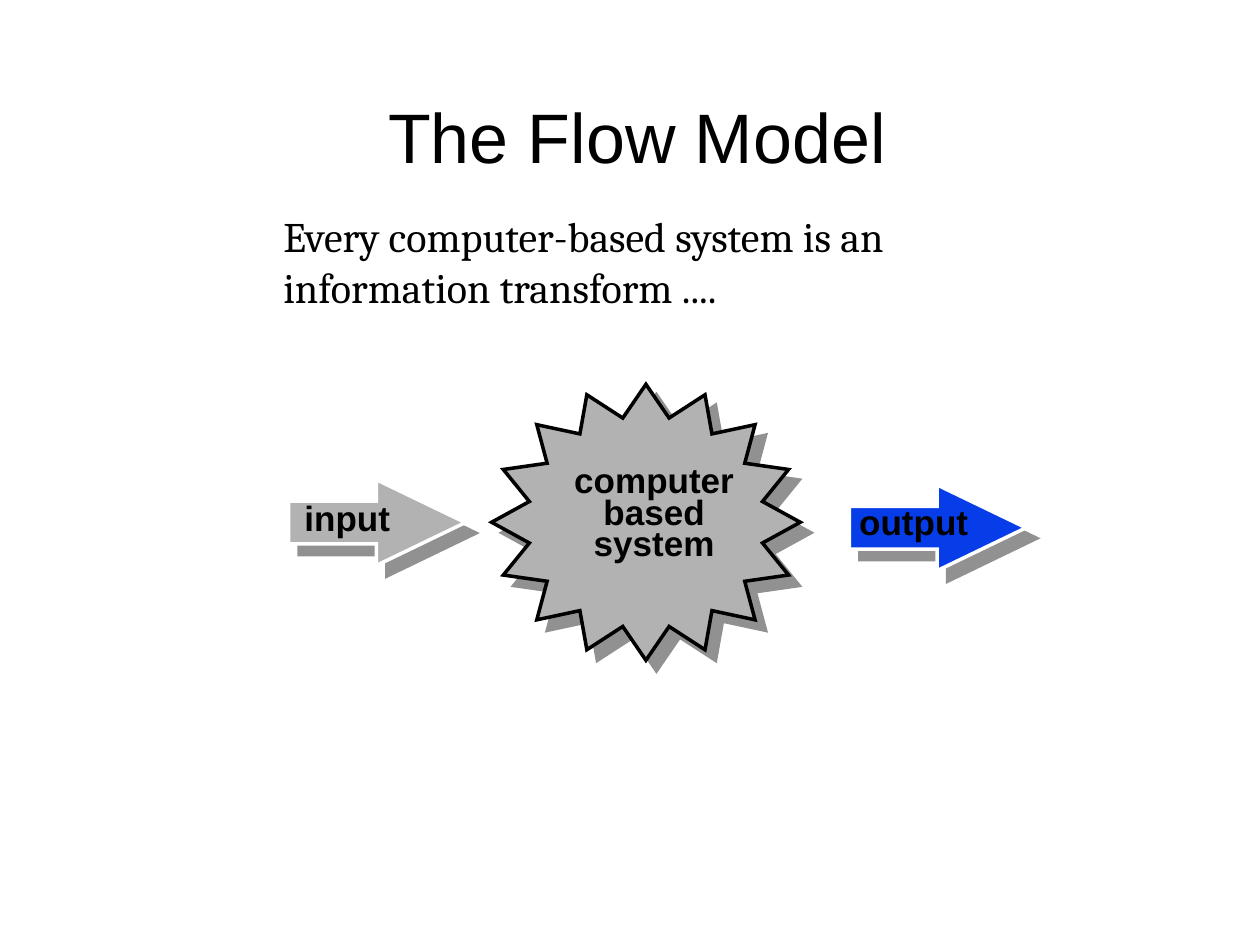
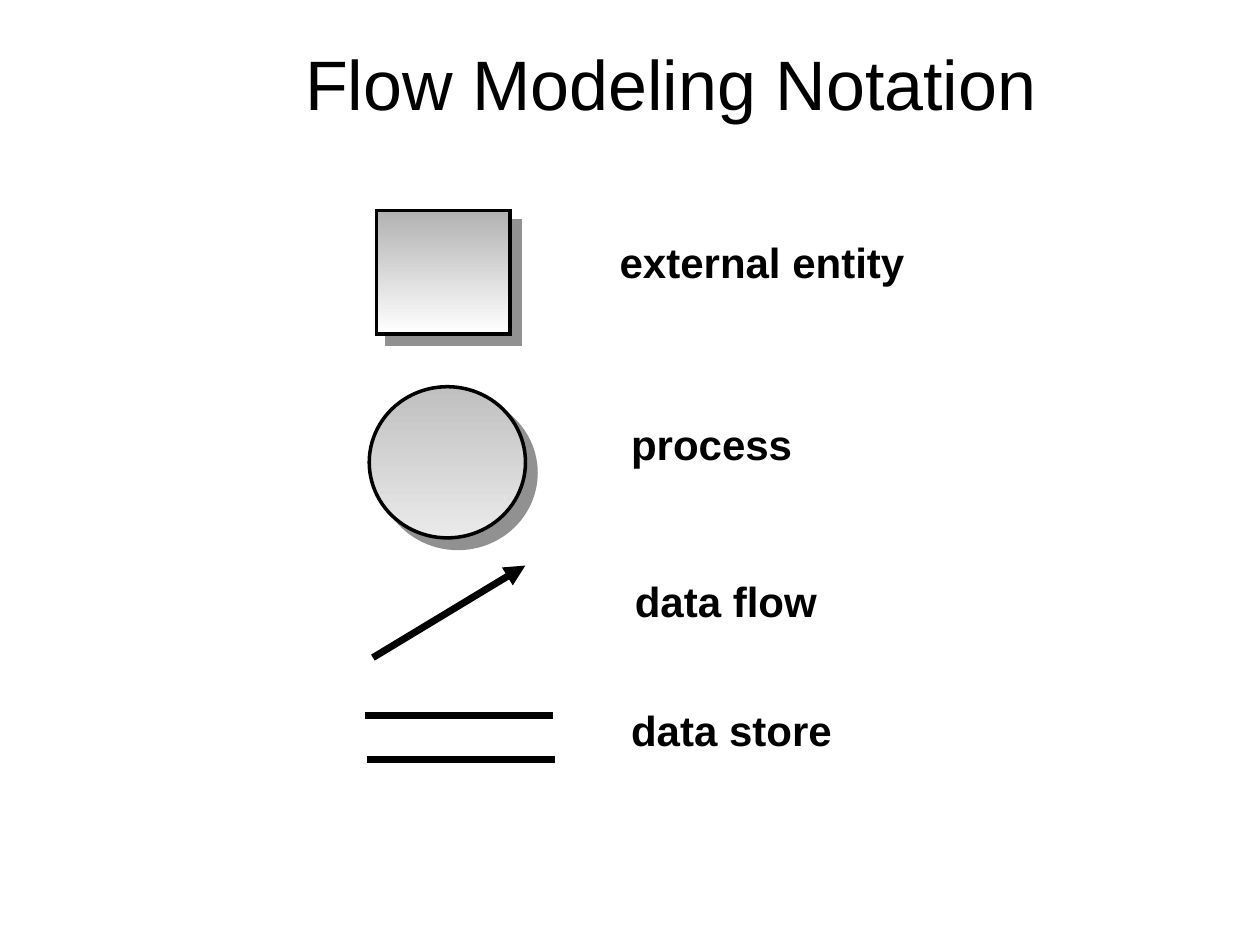
from math import cos, pi, sin

from lxml import etree
from pptx import Presentation
from pptx.dml.color import RGBColor
from pptx.enum.shapes import MSO_CONNECTOR, MSO_SHAPE
from pptx.enum.text import MSO_ANCHOR, MSO_AUTO_SIZE, PP_ALIGN
from pptx.oxml.ns import qn
from pptx.util import Pt

RECTANGLE, OVAL, ARROW = MSO_SHAPE.RECTANGLE, MSO_SHAPE.OVAL, MSO_SHAPE.RIGHT_ARROW
STRAIGHT = MSO_CONNECTOR.STRAIGHT
LEFT, CENTER = PP_ALIGN.LEFT, PP_ALIGN.CENTER
TOP, MIDDLE = MSO_ANCHOR.TOP, MSO_ANCHOR.MIDDLE
NO_FIT, FIT_SHAPE = MSO_AUTO_SIZE.NONE, MSO_AUTO_SIZE.SHAPE_TO_FIT_TEXT

COLORS = {
    "ink": "000000",
    "paper": "FFFFFF",
    "gray": "B2B2B2",
    "blue": "063DE8",
    "shadow": "919191",
    "circle top": "C0C0C0",
    "circle bottom": "EAEAEA",
}
SANS, SERIF = "Arial", "Cambria"


def color(name):
    return RGBColor.from_string(COLORS[name])


def add_text(slide, box, lines, size, font=SANS, bold=True, align=LEFT,
             anchor=TOP, spacing=None, wrap=False):
    shape = slide.shapes.add_textbox(*map(Pt, box))
    frame = shape.text_frame
    frame.word_wrap = wrap
    frame.auto_size = NO_FIT if wrap else FIT_SHAPE
    frame.vertical_anchor = anchor
    frame.text = "\n".join(lines)
    for paragraph in frame.paragraphs:
        paragraph.alignment = align
        paragraph.line_spacing = spacing
        paragraph.font.name = font
        paragraph.font.size = Pt(size)
        paragraph.font.bold = bold
        paragraph.font.color.rgb = color("ink")


def add_title(slide, box, title):
    add_text(slide, box, [title], 40, bold=False, align=CENTER,
             anchor=MIDDLE, wrap=True)


def style_shape(shape, fill, line="ink"):
    """Fill with one colour name or a (top, bottom) pair; add line and hard shadow."""
    if isinstance(fill, tuple):
        shape.fill.gradient()
        shape.fill.gradient_angle = 270
        for stop, name in zip(shape.fill.gradient_stops, fill):
            stop.color.rgb = color(name)
    else:
        shape.fill.solid()
        shape.fill.fore_color.rgb = color(fill)
    shape.line.color.rgb = color(line)
    shape.line.width = Pt(2)
    shape.shadow.inherit = False
    properties = shape._element.spPr
    # Sharp corners
    etree.SubElement(properties.find(qn("a:ln")), qn("a:miter"), lim="800000")
    # Hard shadow
    shadow = etree.SubElement(properties.find(qn("a:effectLst")), qn("a:outerShdw"),
                              blurRad="0", dist=str(Pt(8.5)), dir="2700000",
                              algn="ctr", rotWithShape="0")
    etree.SubElement(shadow, qn("a:srgbClr"), val=COLORS["shadow"])


def add_line(slide, start, end, arrow=False):
    connector = slide.shapes.add_connector(STRAIGHT, *map(Pt, start + end))
    connector.line.color.rgb = color("ink")
    connector.line.width = Pt(4)
    properties = connector._element.spPr
    if arrow:
        etree.SubElement(properties.find(qn("a:ln")), qn("a:tailEnd"), type="triangle")
    etree.SubElement(properties, qn("a:effectLst"))


def add_burst(slide, box, spikes=16, inner_ratio=0.77):
    left, top, width, height = box
    points = []
    for step in range(2 * spikes):
        angle = pi + step * pi / spikes
        ratio = inner_ratio if step % 2 else 1
        points.append((Pt(left + width / 2 * (1 + ratio * cos(angle))),
                       Pt(top + height / 2 * (1 + ratio * sin(angle)))))
    builder = slide.shapes.build_freeform(*points[0])
    builder.add_line_segments(points[1:], close=True)
    style_shape(builder.convert_to_shape(), "gray")


def add_flow_arrow(slide, left, top, fill):
    arrow = slide.shapes.add_shape(ARROW, Pt(left), Pt(top), Pt(101), Pt(49))
    arrow.adjustments[0] = 0.5
    arrow.adjustments[1] = 1.036
    style_shape(arrow, fill, "paper")


def add_flow_diagram(slide, left, top):
    """Input, system and output, placed from the diagram's top left corner."""
    add_burst(slide, (left + 116, top, 176.4, 157.7))
    add_flow_arrow(slide, left, top + 54.5, "gray")
    add_flow_arrow(slide, left + 320.4, top + 57.5, "blue")
    add_text(slide, (left + 154.4, top + 44.6, 109, 61.2),
             ["computer", "based", "system"], 20, align=CENTER, spacing=0.75)
    add_text(slide, (left + 2, top + 60.5, 68, 31), ["input"], 20)
    add_text(slide, (left + 319, top + 62.6, 82, 31), ["output"], 20)


def add_symbol(slide, kind, box, fill):
    style_shape(slide.shapes.add_shape(kind, *map(Pt, box)), fill)


def add_notation(slide, left, top):
    """Symbols in the left column, their names in the right one."""
    # Symbols
    add_symbol(slide, RECTANGLE, (left + 6.5, top, 76.3, 70.6), ("gray", "paper"))
    add_symbol(slide, OVAL, (left + 2.2, top + 100.8, 89.3, 86.4),
               ("circle top", "circle bottom"))
    add_line(slide, (left + 4.3, top + 255.6), (left + 91.4, top + 203), arrow=True)
    for offset, height in ((0, 288.7), (1.2, 313.9)):
        add_line(slide, (left + offset, top + height),
                 (left + offset + 107, top + height))

    # Names
    names = (
        ("external entity", 138.2, 11.5, 182),
        ("process", 144.7, 115.2, 112),
        ("data flow", 146.9, 205.2, 124),
        ("data store", 144.7, 278.6, 134),
    )
    for name, across, down, width in names:
        add_text(slide, (left + across, top + down, width, 36), [name], 24)


def build_flow_model(slide):
    add_title(slide, (82, 26.6, 563.8, 101.5), "The Flow Model")
    add_text(slide, (154.8, 117, 396.7, 64.8),
             ["Every computer-based system is an", "information transform ...."],
             24, font=SERIF, bold=False)
    add_flow_diagram(slide, 164.9, 219.6)


def build_notation(slide):
    add_title(slide, (143.5, 37.8, 479.5, 18.7), "Flow Modeling Notation")
    add_notation(slide, 208.8, 120.2)


def main():
    presentation = Presentation()
    presentation.slide_width, presentation.slide_height = Pt(720), Pt(540)
    blank = presentation.slide_layouts[6]
    for build in (build_flow_model, build_notation):
        build(presentation.slides.add_slide(blank))
    presentation.save("out.pptx")


if __name__ == "__main__":
    main()
